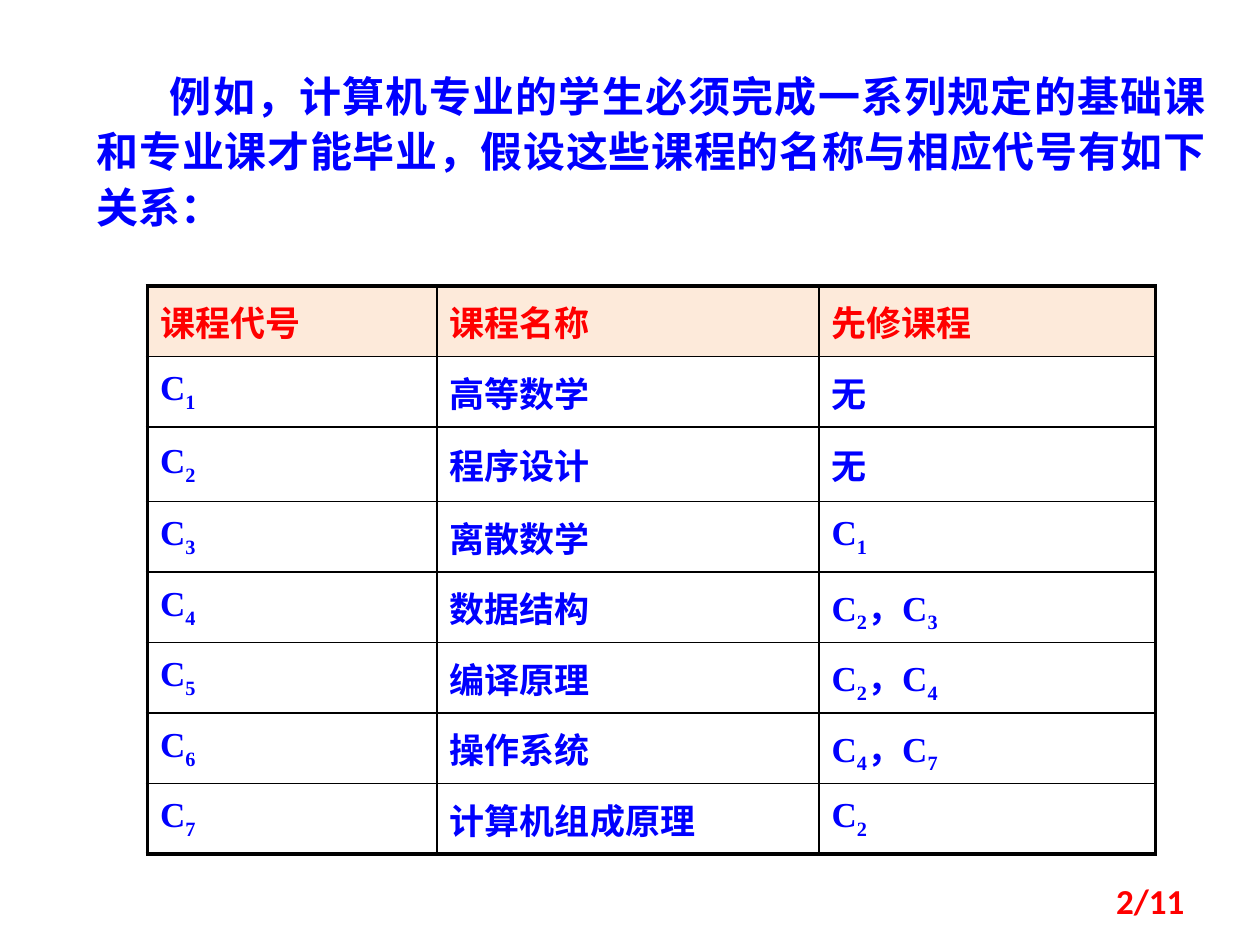
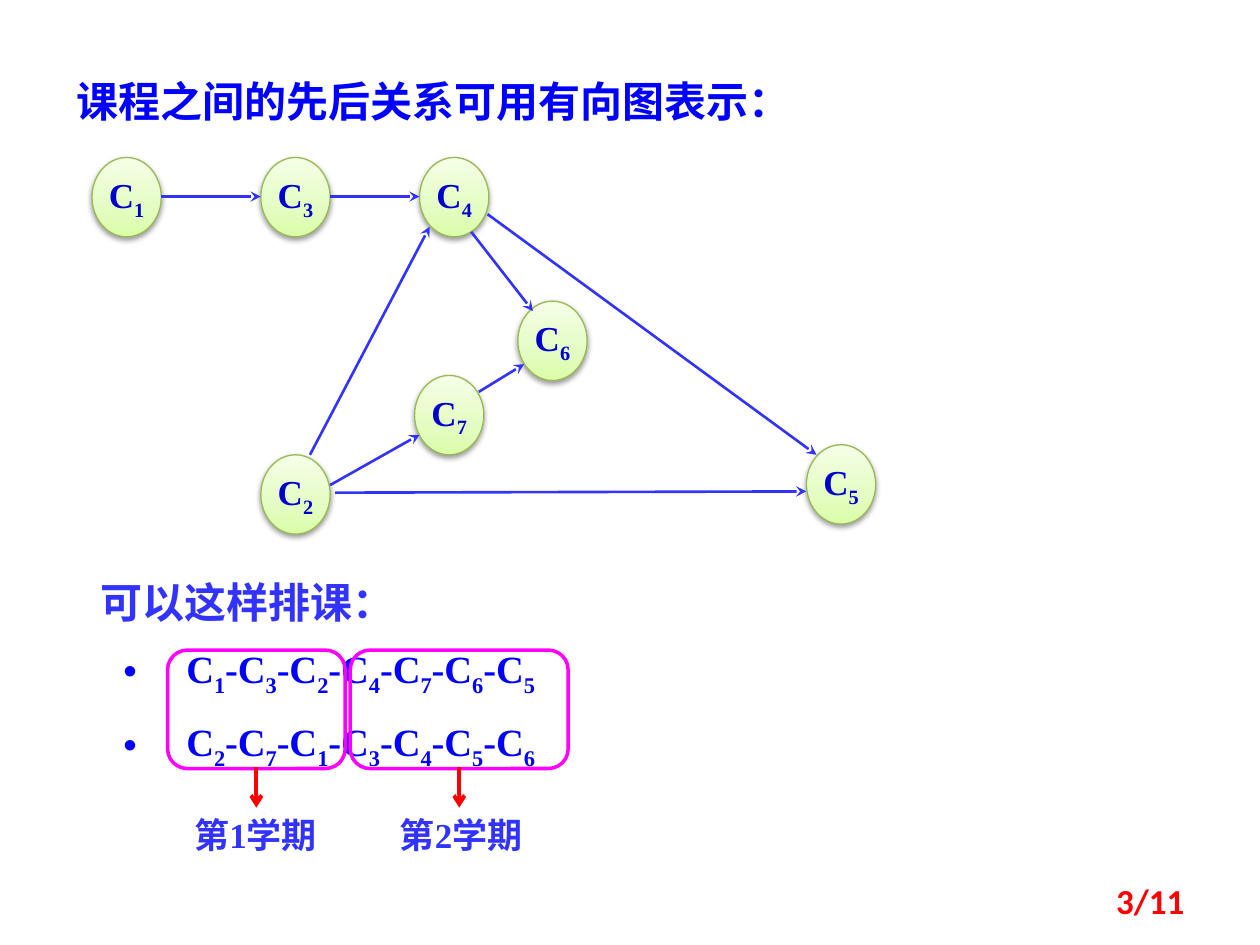
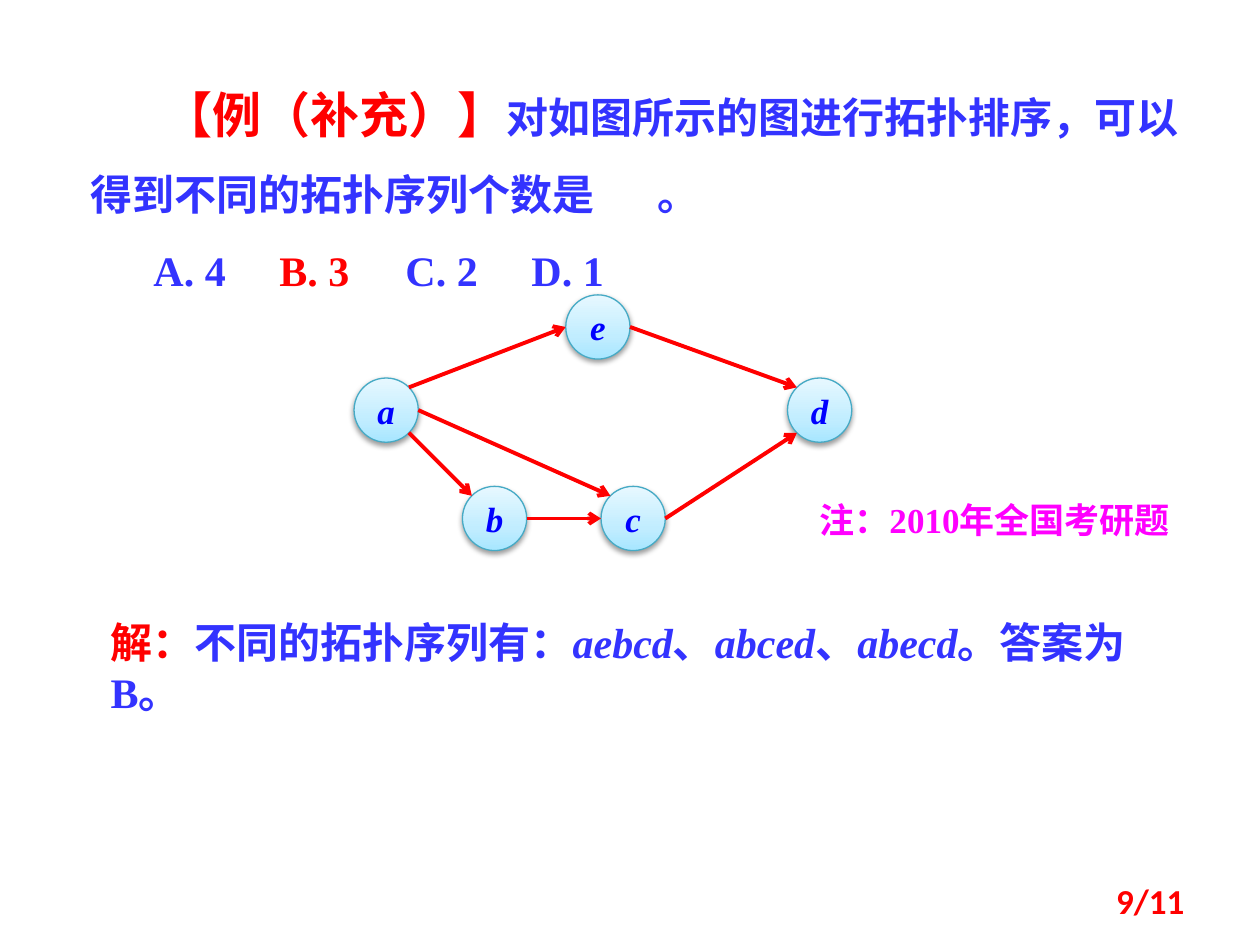
"""Build three slides on topological sorting of courses."""
import copy
import itertools
import math

import lxml.etree
import pptx
import pptx.dml.color
import pptx.enum.shapes
import pptx.enum.text
import pptx.oxml.ns
import pptx.util

Inches = pptx.util.Inches
Pt = pptx.util.Pt
qn = pptx.oxml.ns.qn
ALIGN = pptx.enum.text.PP_ALIGN
SHAPE = pptx.enum.shapes.MSO_SHAPE
MIDDLE = pptx.enum.text.MSO_ANCHOR.MIDDLE

COLORS = {
    "blue": "0000FF", "royal": "3333FF", "navy": "0000CC", "red": "FF0000",
    "magenta": "FF00FF", "black": "000000", "header": "FDEADA",
    "green_line": "98B955", "cyan_line": "46AAC5",
}
GREEN = ("DAFDA7", "E4FCC2", "F5FFE7")
CYAN = ("A7E6FF", "C1EDFF", "E7F8FF")
SERIF, CJK = "Times New Roman", "Noto Sans CJK SC"


def rgb(name):
    return pptx.dml.color.RGBColor.from_string(COLORS.get(name, name))


def sub(parent, tag, **attrs):
    return lxml.etree.SubElement(parent, qn(tag), attrs)


def write(p, text, size=24, color="royal", font=SERIF, italic=False, underline=False, lower=False):
    parts = itertools.groupby(text, str.isdigit) if lower else [(False, text)]
    for digits, chars in parts:
        r = p.add_run()
        r.text = "".join(chars)
        f = r.font
        f.size, f.bold, f.italic, f.underline = Pt(size), True, italic, underline
        f.color.rgb = rgb(color)
        f.name = font
        rPr = r._r.get_or_add_rPr()
        sub(rPr, "a:ea", typeface=CJK)
        if digits:
            rPr.set("baseline", "-25000")


class Deck:
    def __init__(self):
        self.prs = pptx.Presentation()
        self.prs.slide_width, self.prs.slide_height = Inches(10), Inches(7.5)
        self.s = None

    def slide(self, number):
        self.s = self.prs.slides.add_slide(self.prs.slide_layouts[6])
        tf = self.box(7.17, 6.95, 2.33, 0.4)
        tf.vertical_anchor = MIDDLE
        tf.paragraphs[0].alignment = ALIGN.RIGHT
        write(tf.paragraphs[0], f"{number}/11", size=20, color="red", font="Calibri")

    def box(self, x, y, w, h):
        tf = self.s.shapes.add_textbox(*map(Inches, (x, y, w, h))).text_frame
        tf.word_wrap = True
        return tf

    def label(self, x, y, w, h, text, align=ALIGN.LEFT, **fmt):
        p = self.box(x, y, w, h).paragraphs[0]
        p.alignment = align
        write(p, text, **fmt)

    def indent(self, p, first, left=0, bullet=None, tabs=()):
        pPr = p._p.get_or_add_pPr()
        pPr.set("marL", str(Inches(left)))
        pPr.set("indent", str(Inches(first)))
        if bullet:
            sub(pPr, "a:buFont", typeface="Arial")
            sub(pPr, "a:buChar", char=bullet)
        if tabs:
            stops = sub(pPr, "a:tabLst")
            for pos in tabs:
                sub(stops, "a:tab", pos=str(Inches(pos)), algn="l")

    def node(self, x, y, w, h, text, stops, line, **fmt):
        sp = self.s.shapes.add_shape(SHAPE.OVAL, *map(Inches, (x, y, w, h)))
        sp.fill.gradient()
        sp.fill.gradient_angle = 90
        spPr = sp._element.spPr
        gs = spPr.find(".//" + qn("a:gsLst"))
        gs.insert(1, copy.deepcopy(gs[0]))
        for stop, color, pos in zip(sp.fill.gradient_stops, stops, (0, 0.35, 1)):
            stop.color.rgb = rgb(color)
            stop.position = pos
        sp.line.color.rgb = rgb(line)
        sp.line.width = Pt(0.75)
        sp.shadow.inherit = False
        shadow = sub(spPr.find(qn("a:effectLst")), "a:outerShdw", blurRad=str(Pt(3.1)),
                     dist=str(Pt(1.6)), dir="5400000", rotWithShape="0")
        sub(sub(shadow, "a:srgbClr", val=COLORS["black"]), "a:alpha", val="38000")
        tf = sp.text_frame
        tf.word_wrap = False
        tf.vertical_anchor = MIDDLE
        tf.paragraphs[0].alignment = ALIGN.CENTER
        write(tf.paragraphs[0], text, size=20, **fmt)

    def arrow(self, x1, y1, x2, y2, color, width, head):
        c = self.s.shapes.add_connector(pptx.enum.shapes.MSO_CONNECTOR.STRAIGHT,
                                        *map(Inches, (x1, y1, x2, y2)))
        c.line.color.rgb = rgb(color)
        c.line.width = Pt(width)
        spPr = c._element.spPr
        sub(spPr.find(qn("a:ln")), "a:tailEnd", type=head)
        sub(spPr, "a:effectLst")

    def frame(self, x, y, w, h):
        sp = self.s.shapes.add_shape(SHAPE.ROUNDED_RECTANGLE, *map(Inches, (x, y, w, h)))
        sp.shadow.inherit = False
        sp.fill.background()
        sp.line.color.rgb = rgb("magenta")
        sp.line.width = Pt(2)

    def table(self, x, y, widths, heights, rows):
        gf = self.s.shapes.add_table(len(rows), len(widths), Inches(x), Inches(y),
                                     Inches(sum(widths)), Inches(sum(heights)))
        t = gf.table
        t.first_row = t.horz_banding = False
        for col, w in zip(t.columns, widths):
            col.width = Inches(w)
        for row, h in zip(t.rows, heights):
            row.height = Inches(h)
        for i, row in enumerate(rows):
            for j, text in enumerate(row):
                cell = t.cell(i, j)
                cell.vertical_anchor = MIDDLE
                p = cell.text_frame.paragraphs[0]
                p.alignment = ALIGN.JUSTIFY
                write(p, text, size=20, color="blue" if i else "red", lower=True)
                outer = {"a:lnL": j == 0, "a:lnR": j == len(row) - 1,
                         "a:lnT": i == 0, "a:lnB": i == len(rows) - 1}
                for tag, thick in outer.items():
                    ln = sub(cell._tc.get_or_add_tcPr(), tag, w=str(Pt(2.25 if thick else 1)))
                    sub(sub(ln, "a:solidFill"), "a:srgbClr", val=COLORS["black"])
                if i:
                    cell.fill.background()
                else:
                    cell.fill.solid()
                    cell.fill.fore_color.rgb = rgb("header")


def course_table(d):
    d.slide(2)
    d.table(1.17, 2.27, (2.3, 3.03, 2.67), [0.56, 0.56, 0.59] + [0.56] * 5, [
        ("课程代号", "课程名称", "先修课程"),
        ("C1", "高等数学", "无"),
        ("C2", "程序设计", "无"),
        ("C3", "离散数学", "C1"),
        ("C4", "数据结构", "C2，C3"),
        ("C5", "编译原理", "C2，C4"),
        ("C6", "操作系统", "C4，C7"),
        ("C7", "计算机组成原理", "C2"),
    ])
    p = d.box(0.67, 0.47, 9, 1.49).paragraphs[0]
    d.indent(p, 0.58)
    p.alignment = ALIGN.JUSTIFY
    p.line_spacing = 1.1
    write(p, "例如，计算机专业的学生必须完成一系列规定的基础课和专业课才能毕业，"
             "假设这些课程的名称与相应代号有如下关系：", color="blue")


def course_graph(d):
    d.slide(3)
    d.label(0.51, 0.55, 7.17, 0.5, "课程之间的先后关系可用有向图表示：", color="blue")
    courses = {"C1": (0.73, 1.25), "C3": (2.07, 1.25), "C4": (3.33, 1.25), "C2": (2.07, 3.61),
               "C7": (3.29, 2.98), "C6": (4.11, 2.39), "C5": (6.4, 3.53)}
    for name, (x, y) in courses.items():
        d.node(x, y, 0.55, 0.63, name, GREEN, "green_line", color="navy", lower=True)
    for edge in ((1.28, 1.56, 2.07, 1.56), (2.62, 1.56, 3.33, 1.56), (2.46, 3.61, 3.41, 1.8),
                 (2.62, 3.85, 3.33, 3.45), (3.8, 3.11, 4.16, 2.89), (3.87, 1.7, 6.48, 3.61),
                 (2.66, 3.91, 6.4, 3.9), (3.74, 1.84, 4.23, 2.47)):
        d.arrow(*edge, "royal", 1.5, "stealth")
    d.label(0.7, 4.53, 4.88, 0.5, "可以这样排课：")
    tf = d.box(0.88, 5.07, 3.98, 1.03)
    for i, order in enumerate(("C1-C3-C2-C4-C7-C6-C5", "C2-C7-C1-C3-C4-C5-C6")):
        p = tf.add_paragraph() if i else tf.paragraphs[0]
        d.indent(p, -0.5, left=0.5, bullet="•")
        p.space_before = Pt(12 * i)
        write(p, order, size=22, color="blue", lower=True)
        p.font.size = Pt(22)
    for term, x, w, label_x in ((1, 1.33, 1.41, 1.25), (2, 2.78, 1.73, 2.88)):
        middle = x + w / 2
        d.label(label_x, 6.41, 1.56, 0.44, f"第{term}学期", align=ALIGN.CENTER, size=20)
        d.frame(x, 5.16, w, 0.94)
        d.arrow(middle, 6.09, middle, 6.41, "red", 2.25, "arrow")


def exercise(d):
    d.slide(9)
    tf = d.box(0.62, 0.39, 9.14, 2.02)
    question, options = tf.paragraphs[0], tf.add_paragraph()
    d.indent(question, 0.58, tabs=(4.57,))
    d.indent(options, 0.5, tabs=(3, 5, 7))
    question.line_spacing = options.line_spacing = 1.5
    write(question, "【例（补充）】", size=28, color="red", font=CJK)
    write(question, "对如图所示的图进行拓扑排序，可以得到不同的拓扑序列个数是")
    write(question, "\t", underline=True)
    write(question, "。")
    write(options, "A. 4\t")
    write(options, "B. 3", color="red")
    write(options, "\tC. 2\tD. 1")

    size = 0.51
    nodes = {"e": (4.49, 2.34), "a": (2.81, 3), "b": (3.67, 3.86), "c": (4.77, 3.86), "d": (6.25, 3)}
    for name, (x, y) in nodes.items():
        d.node(x, y, size, size, name, CYAN, "cyan_line", color="blue", italic=True)

    def rim(name, angle):
        x, y = nodes[name]
        a = math.radians(angle)
        return x + size / 2 * (1 + math.cos(a)), y + size / 2 * (1 + math.sin(a))

    for start, out, end, into in (("a", 45, "b", 225), ("a", -45, "e", 180), ("e", 0, "d", 225),
                                  ("b", 0, "c", 180), ("c", 0, "d", 135), ("a", 0, "c", 225)):
        d.arrow(*rim(start, out), *rim(end, into), "red", 2.25, "arrow")

    p = d.box(0.78, 4.84, 8.52, 0.5).paragraphs[0]
    write(p, "解：", color="red", font=CJK)
    write(p, "不同的拓扑序列有：")
    for order, mark in (("aebcd", "、"), ("abced", "、"), ("abecd", "。答案为B。")):
        write(p, order, italic=True)
        write(p, mark)
    d.label(6.33, 3.91, 3.13, 0.44, "注：2010年全国考研题", align=ALIGN.CENTER, size=20, color="magenta")


def main():
    d = Deck()
    course_table(d)
    course_graph(d)
    exercise(d)
    d.prs.save("out.pptx")


if __name__ == "__main__":
    main()
